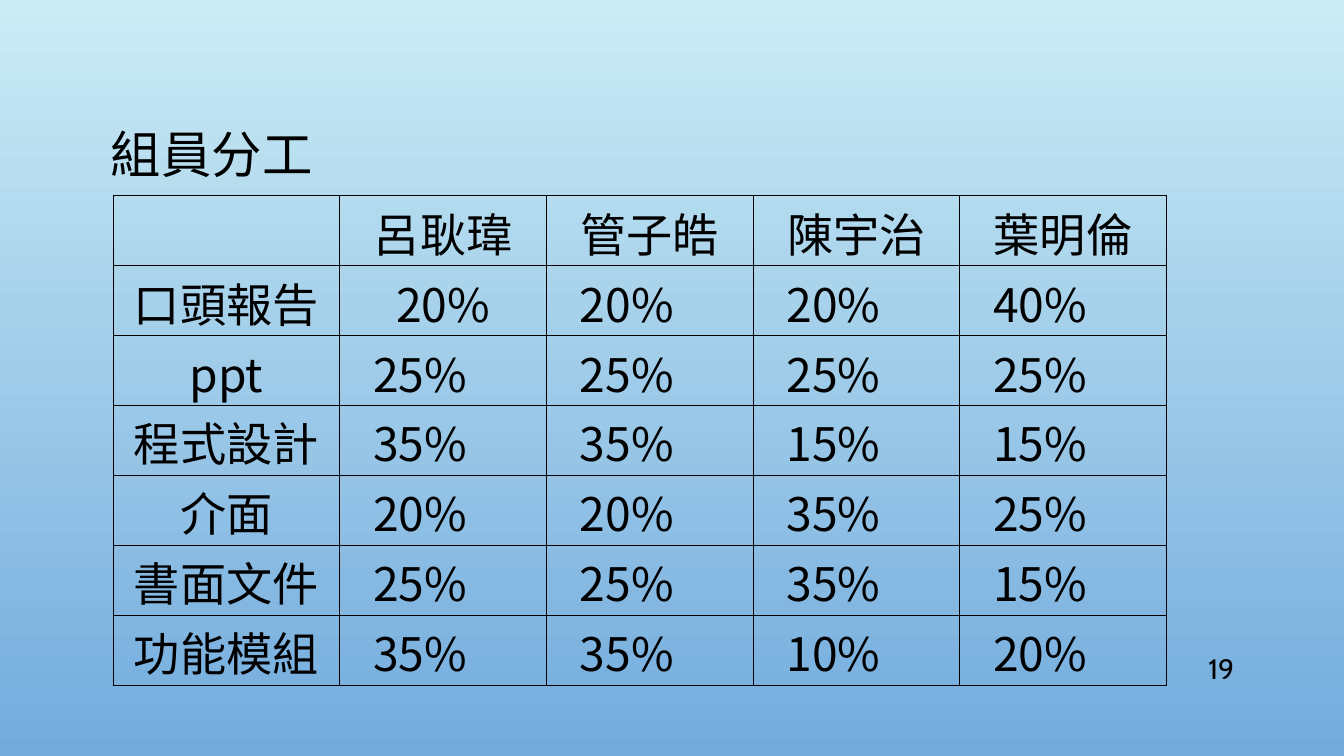
import pptx
import pptx.dml.color
import pptx.enum.text
import pptx.oxml
import pptx.oxml.ns
import pptx.util
from pptx.util import Inches

BLACK = pptx.dml.color.RGBColor(0x00, 0x00, 0x00)
SKY_TOP = pptx.dml.color.RGBColor(0xCB, 0xEC, 0xF5)
SKY_BOTTOM = pptx.dml.color.RGBColor(0x73, 0xAB, 0xDD)
LATIN_FONT = "Cabin"
CJK_FONT = "Noto Sans CJK TC"
ALIGN = pptx.enum.text.PP_ALIGN
MIDDLE = pptx.enum.text.MSO_ANCHOR.MIDDLE
COLUMN_WIDTHS = [2.25, 2.05, 2.05, 2.05, 2.05]
ROW_HEIGHT = 0.63
WORK_SHARES = [
    ["", "呂耿瑋", "管子皓", "陳宇治", "葉明倫"],
    ["口頭報告", "20%", "20%　", "20%　", "40%　"],
    ["ppt", "25%　", "25%　", "25%　", "25%　"],
    ["程式設計", "35%　", "35%　", "15%　", "15%　"],
    ["介面", "20%　", "20%　", "35%　", "25%　"],
    ["書面文件", "25%　", "25%　", "35%　", "15%　"],
    ["功能模組", "35%　", "35%　", "10%　", "20%　"],
]


def paint_background(slide):
    """Fill the slide with a gradient from top to bottom."""
    fill = slide.background.fill
    fill.gradient()
    fill.gradient_angle = 270
    for stop, color in zip(fill.gradient_stops, (SKY_TOP, SKY_BOTTOM)):
        stop.color.rgb = color


def write_text(frame, text, size, font_name, alignment):
    """Write one formatted paragraph into a text frame."""
    frame.text = text
    para = frame.paragraphs[0]
    para.alignment = alignment
    for span in para.runs:
        span.font.size = pptx.util.Pt(size)
        span.font.name = font_name
        span.font.color.rgb = BLACK
        east_asian = pptx.oxml.parse_xml(
            f'<a:ea {pptx.oxml.ns.nsdecls("a")} typeface="{CJK_FONT}"/>')
        span.font._element.find(pptx.oxml.ns.qn("a:latin")).addnext(east_asian)


def place_title(slide, text):
    """Move and format the title placeholder."""
    title = slide.shapes.title
    title.left, title.top = Inches(1), Inches(0.68)
    title.width, title.height = Inches(11.33), Inches(1.75)
    frame = title.text_frame
    frame.auto_size = pptx.enum.text.MSO_AUTO_SIZE.NONE
    frame.vertical_anchor = MIDDLE
    write_text(frame, text, 36, LATIN_FONT, ALIGN.LEFT)
    frame.paragraphs[0].line_spacing = 0.9


def draw_borders(cell, width):
    """Draw a solid line on the four sides of a cell."""
    properties = cell._tc.get_or_add_tcPr()
    for index, side in enumerate(("lnL", "lnR", "lnT", "lnB")):
        line = pptx.oxml.parse_xml(
            f'<a:{side} {pptx.oxml.ns.nsdecls("a")} w="{pptx.util.Pt(width)}">'
            f'<a:solidFill><a:srgbClr val="{BLACK}"/></a:solidFill></a:{side}>')
        properties.insert(index, line)


def format_cell(cell, text):
    """Fill one table cell with centred text and black borders."""
    cell.fill.background()
    cell.vertical_anchor = MIDDLE
    cell.margin_left = cell.margin_right = cell.margin_top = Inches(0.03)
    cell.margin_bottom = 0
    if text:
        write_text(cell.text_frame, text, 33, CJK_FONT, ALIGN.CENTER)
    draw_borders(cell, 0.5)


def add_share_table(slide, rows):
    """Add the table of each member's share of the work."""
    table = slide.shapes.add_table(
        len(rows), len(COLUMN_WIDTHS), Inches(1.12), Inches(1.94),
        Inches(sum(COLUMN_WIDTHS)), Inches(ROW_HEIGHT * len(rows))).table
    table.first_row = False
    table.horz_banding = False
    for column, width in zip(table.columns, COLUMN_WIDTHS):
        column.width = Inches(width)
    for row, texts in zip(table.rows, rows):
        row.height = Inches(ROW_HEIGHT)
        for cell, text in zip(row.cells, texts):
            format_cell(cell, text)


def add_page_number(slide, number):
    """Add the page number at the lower right."""
    box = slide.shapes.add_textbox(
        Inches(11.5), Inches(6.43), Inches(0.84), Inches(0.4))
    box.text_frame.word_wrap = True
    box.text_frame.vertical_anchor = MIDDLE
    write_text(box.text_frame, number, 20, LATIN_FONT, ALIGN.RIGHT)


def main():
    """Build the slide and save the deck."""
    deck = pptx.Presentation()
    deck.slide_width, deck.slide_height = Inches(13.33), Inches(7.5)
    slide = deck.slides.add_slide(deck.slide_layouts[5])
    paint_background(slide)
    place_title(slide, "組員分工")
    add_share_table(slide, WORK_SHARES)
    add_page_number(slide, "19")
    deck.save("out.pptx")


if __name__ == "__main__":
    main()
